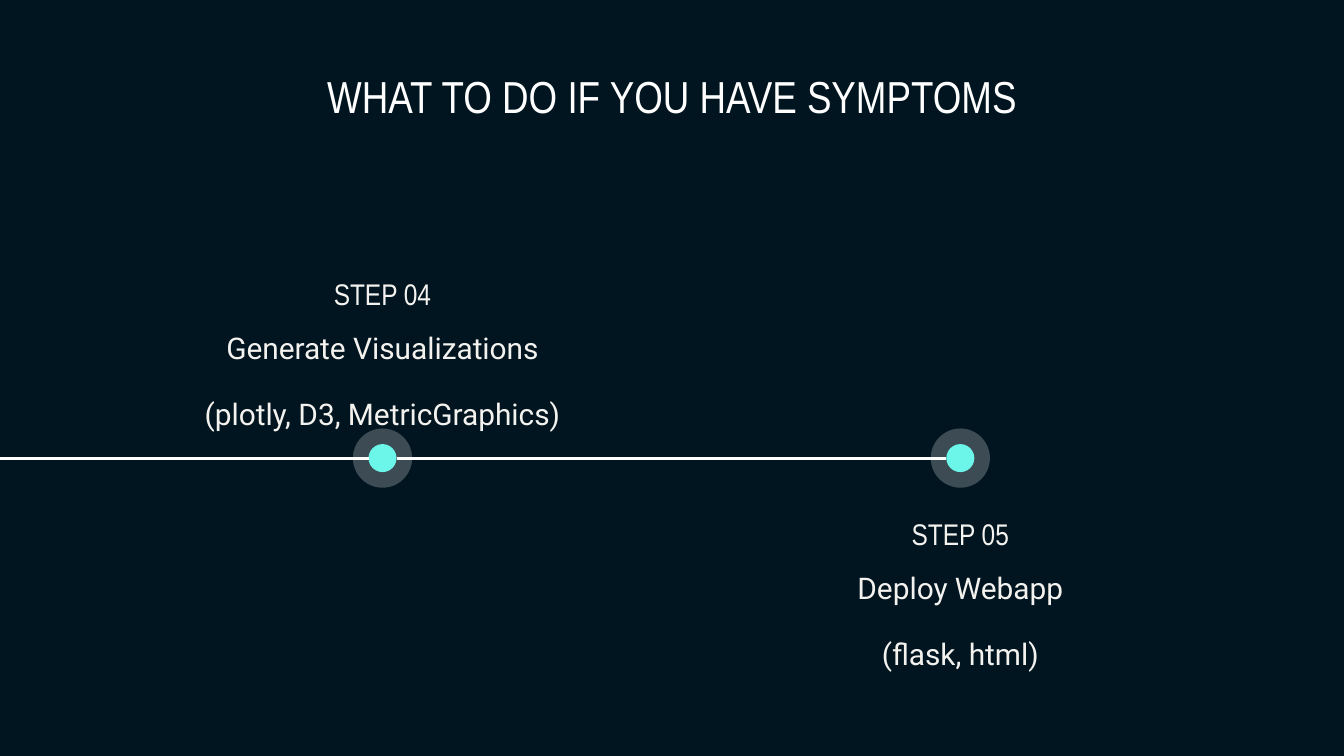
from dataclasses import dataclass

from lxml import etree
from pptx import Presentation
from pptx.dml.color import RGBColor
from pptx.enum.shapes import MSO_CONNECTOR, MSO_SHAPE
from pptx.enum.text import MSO_ANCHOR, PP_ALIGN
from pptx.oxml.ns import qn
from pptx.util import Cm, Pt

OVAL = MSO_SHAPE.OVAL
STRAIGHT = MSO_CONNECTOR.STRAIGHT
TOP = MSO_ANCHOR.TOP
CENTER = PP_ALIGN.CENTER


@dataclass(frozen=True)
class Theme:
    background: RGBColor = RGBColor(0x00, 0x15, 0x1F)
    white: RGBColor = RGBColor(0xFF, 0xFF, 0xFF)
    text: RGBColor = RGBColor(0xF4, 0xF2, 0xEF)
    accent: RGBColor = RGBColor(0x6C, 0xF6, 0xEA)
    heading_font: str = "Arial Narrow"
    body_font: str = "Roboto"
    title_size: Pt = Pt(24)
    step_size: Pt = Pt(16)
    paragraph_gap: Pt = Pt(16)
    line_width: Pt = Pt(1.5)


theme = Theme()


def add_text(left, top, width, height, lines, font, size, color, inset_top):
    """Add a centred text box with one paragraph per line; lengths in cm."""
    box = page.shapes.add_textbox(Cm(left), Cm(top), Cm(width), Cm(height))
    frame = box.text_frame
    frame.word_wrap = True
    frame.vertical_anchor = TOP
    frame.margin_left = frame.margin_right = Cm(0.25)
    frame.margin_top, frame.margin_bottom = Cm(inset_top), Cm(0)
    for index, line in enumerate(lines):
        para = frame.add_paragraph() if index else frame.paragraphs[0]
        para.alignment = CENTER
        if index:
            para.space_before = theme.paragraph_gap
        span = para.add_run()
        span.text = line
        span.font.name = font
        span.font.size = size
        span.font.color.rgb = color


def add_disc(group, center_x, center_y, diameter, color):
    disc = group.shapes.add_shape(
        OVAL, Cm(center_x - diameter / 2), Cm(center_y - diameter / 2),
        Cm(diameter), Cm(diameter))
    disc.shadow.inherit = False
    disc.fill.solid()
    disc.fill.fore_color.rgb = color
    disc.line.fill.background()
    return disc


deck = Presentation()
deck.slide_width, deck.slide_height = Cm(25.4), Cm(14.29)
page = deck.slides.add_slide(deck.slide_layouts[6])
page.background.fill.solid()
page.background.fill.fore_color.rgb = theme.background

add_text(2.6, 0.97, 20.2, 1.42, ["WHAT TO DO IF YOU HAVE SYMPTOMS"],
         theme.heading_font, theme.title_size, theme.white, 0.33)

# Each step: centre x, top of its label, label, description
steps = [
    (7.23, 4.75, "STEP 04",
     ["Generate Visualizations", "(plotly, D3, MetricGraphics)"]),
    (18.15, 9.28, "STEP 05", ["Deploy Webapp", "(flask, html)"]),
]
timeline_y = 8.66
halo_size, dot_size = 1.12, 0.53
text_width, label_height, body_height, body_offset = 7.24, 1.12, 1.9, 1.03

line_start = 0
for center_x, label_top, label, description in steps:
    marker = page.shapes.add_group_shape()
    halo = add_disc(marker, center_x, timeline_y, halo_size, theme.white)
    halo_color = halo.fill._xPr.find(qn("a:solidFill"))[0]
    etree.SubElement(halo_color, qn("a:alpha"), val="24000")
    add_disc(marker, center_x, timeline_y, dot_size, theme.accent)

    line = page.shapes.add_connector(
        STRAIGHT, Cm(line_start), Cm(timeline_y),
        Cm(center_x - dot_size / 2), Cm(timeline_y))
    line.line.color.rgb = theme.white
    line.line.width = theme.line_width
    etree.SubElement(line._element.spPr, qn("a:effectLst"))
    line_start = center_x + dot_size / 2

    text_left = center_x - text_width / 2
    add_text(text_left, label_top, text_width, label_height, [label],
             theme.heading_font, theme.step_size, theme.text, 0.46)
    add_text(text_left, label_top + body_offset, text_width, body_height,
             description, theme.body_font, theme.step_size, theme.text, 0.46)

deck.save("out.pptx")
